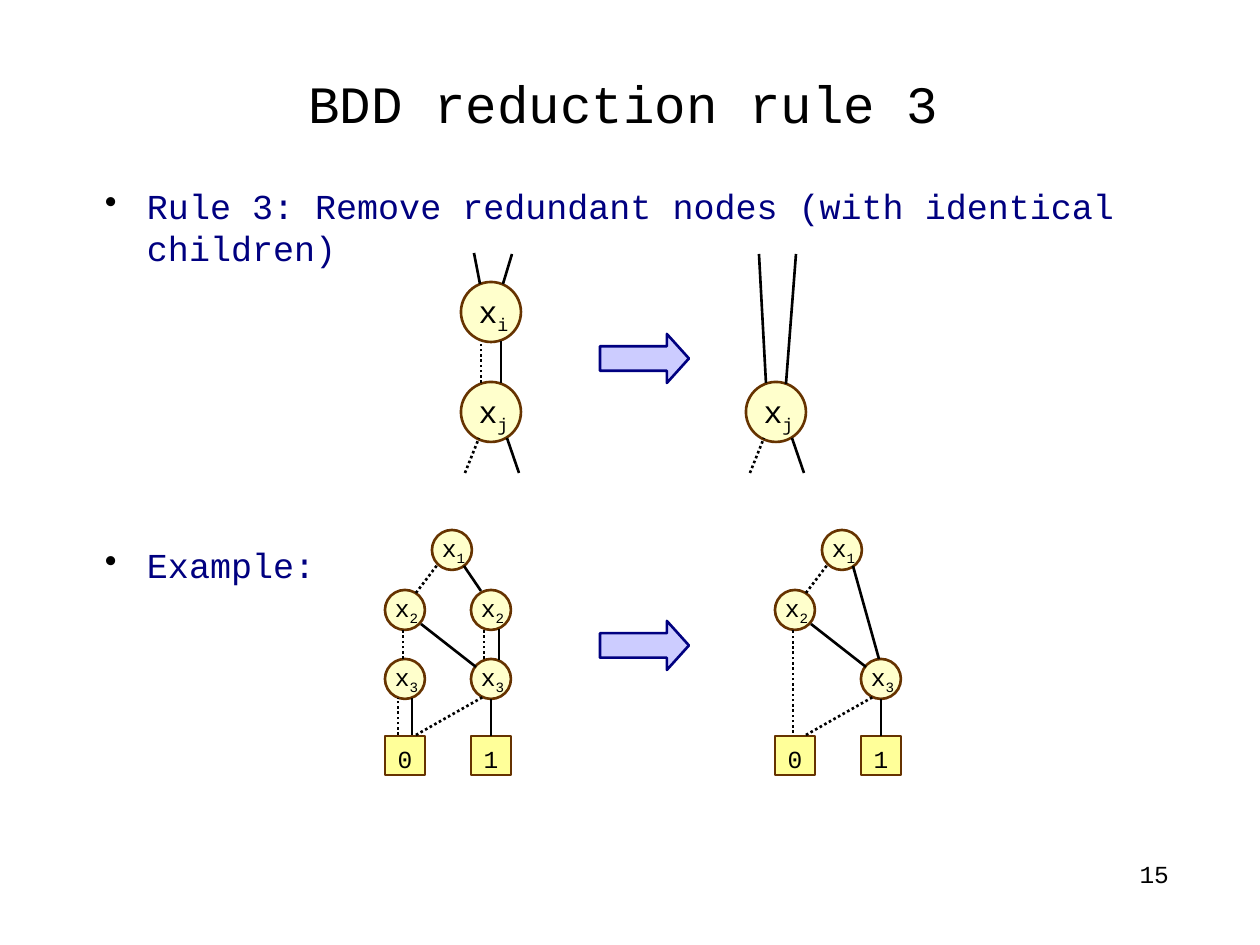
import pptx
import pptx.util
import pptx.dml.color
import pptx.enum.dml
import pptx.enum.shapes
import pptx.enum.text
import pptx.oxml.ns
from lxml import etree

PX = 914400 // 126
FONT = "Courier New"
BLACK, NAVY, BROWN = "000000", "000080", "663300"
CREAM, YELLOW, LAVENDER = "FFFFCC", "FFFF99", "CCCCFF"
SHAPE = pptx.enum.shapes.MSO_SHAPE
ALIGN = pptx.enum.text.PP_ALIGN
ANCHOR = pptx.enum.text.MSO_ANCHOR


def rgb(value):
    return pptx.dml.color.RGBColor.from_string(value)


def px(*lengths):
    return [length * PX for length in lengths]


def add_element(parent, tag, **attributes):
    return etree.SubElement(parent, pptx.oxml.ns.qn(tag), attributes)


class Board:
    """The current slide, the group being filled and the drawing style."""

    def __init__(self, slide):
        self.slide = slide
        self.target = slide.shapes

    def start_group(self):
        self.target = self.slide.shapes.add_group_shape().shapes

    def end_group(self):
        self.target = self.slide.shapes

    def text_frame(self, box, inset_x=0, inset_y=0, anchor=ANCHOR.TOP):
        frame = self.target.add_textbox(*px(*box)).text_frame
        frame.word_wrap = True
        frame.margin_left = frame.margin_right = inset_x * PX
        frame.margin_top = frame.margin_bottom = inset_y * PX
        frame.vertical_anchor = anchor
        return frame

    def run(self, paragraph, text, size, color=BLACK):
        run = paragraph.add_run()
        run.text = text
        run.font.name = FONT
        run.font.size = pptx.util.Pt(size)
        run.font.color.rgb = rgb(color)
        return run

    def line_of_text(self, box, text, size, align, spacing, anchor=ANCHOR.TOP):
        paragraph = self.text_frame(box, anchor=anchor).paragraphs[0]
        paragraph.alignment = align
        paragraph.line_spacing = spacing
        self.run(paragraph, text, size)

    def bullets(self, box, texts, gap):
        frame = self.text_frame(box)
        for number, text in enumerate(texts):
            paragraph = frame.add_paragraph() if number else frame.paragraphs[0]
            if number:
                paragraph.space_before = pptx.util.Pt(gap)
            properties = paragraph._p.get_or_add_pPr()
            properties.set("marL", str(55 * PX))
            properties.set("indent", str(-42 * PX))
            bullet_color = add_element(properties, "a:buClr")
            add_element(bullet_color, "a:srgbClr", val=BLACK)
            add_element(properties, "a:buChar", char="•")
            self.run(paragraph, text, 20, NAVY)

    def shape(self, kind, box, fill, line):
        shape = self.target.add_shape(kind, *px(*box))
        shape.shadow.inherit = False
        shape.fill.solid()
        shape.fill.fore_color.rgb = rgb(fill)
        shape.line.color.rgb = rgb(line)
        shape.line.width = pptx.util.Pt(1.5)
        return shape

    def arrow(self, box):
        arrow = self.shape(SHAPE.RIGHT_ARROW, box, LAVENDER, NAVY)
        arrow.adjustments[0], arrow.adjustments[1] = 0.5, 0.45

    def label(self, box, text, size, subscript=""):
        paragraph = self.text_frame(box, 12, 6).paragraphs[0]
        paragraph.alignment = ALIGN.CENTER
        self.run(paragraph, text, size)
        if subscript:
            lowered = self.run(paragraph, subscript, size)
            lowered._r.get_or_add_rPr().set("baseline", "-25000")

    def rule_node(self, x, y, subscript):
        self.shape(SHAPE.OVAL, (x, y, 60, 60), CREAM, BROWN)
        self.label((x + 3, y + 4, 59, 55), "x", 18, subscript)

    def example_node(self, x, y, subscript):
        self.shape(SHAPE.OVAL, (x, y, 40, 40), CREAM, BROWN)
        self.label((x - 13, y - 3, 69, 47), "x", 14, subscript)

    def terminal(self, x, y, value):
        self.shape(SHAPE.RECTANGLE, (x, y, 40, 39), YELLOW, BROWN)
        self.label((x, y + 2, 40, 43), value, 14)

    def edges(self, origin, ends, dotted=False):
        for x1, y1, x2, y2 in ends:
            edge = self.target.add_connector(
                pptx.enum.shapes.MSO_CONNECTOR.STRAIGHT,
                *px(origin + x1, y1, origin + x2, y2))
            edge.line.color.rgb = rgb(BLACK)
            edge.line.width = pptx.util.Pt(1.5)
            if dotted:
                edge.line.dash_style = pptx.enum.dml.MSO_LINE.ROUND_DOT
            add_element(edge._element.spPr, "a:effectLst")


def draw_rule(board, origin, nodes, solid, dotted):
    board.start_group()
    for y, subscript in nodes:
        board.rule_node(origin, y, subscript)
    board.edges(origin, [(58, 473, 46, 438)] + solid)
    board.edges(origin, [(4, 473, 18, 438)] + dotted, dotted=True)
    board.end_group()


def draw_example(board, origin, nodes, solid, dotted):
    board.start_group()
    shared_nodes = [(47, 530, "1"), (0, 590, "2"), (86, 659, "3")]
    for x, y, subscript in shared_nodes + nodes:
        board.example_node(origin + x, y, subscript)
    for x, value in ((0, "0"), (86, "1")):
        board.terminal(origin + x, 736, value)
    board.edges(origin, [(36, 624, 91, 667), (106, 699, 106, 736)] + solid)
    board.edges(origin, [(31, 593, 53, 564), (31, 735, 98, 697)] + dotted, dotted=True)
    board.end_group()


def main():
    deck = pptx.Presentation()
    deck.slide_width, deck.slide_height = px(1260, 945)
    board = Board(deck.slides.add_slide(deck.slide_layouts[6]))

    # Title and bullets
    board.line_of_text((86, 47, 1075, 108), "BDD reduction rule 3", 30,
                       ALIGN.CENTER, 1.04, ANCHOR.MIDDLE)
    board.bullets((92, 185, 1075, 655),
                  ["Rule 3: Remove redundant nodes (with identical children)",
                   "Example:"], gap=157)

    # Example before and after reduction
    draw_example(board, 385,
                 nodes=[(0, 659, "3"), (86, 590, "2")],
                 solid=[(79, 566, 96, 591), (114, 629, 114, 660), (27, 698, 27, 735)],
                 dotted=[(18, 659, 18, 629), (13, 735, 13, 698), (99, 659, 99, 629)])
    draw_example(board, 775, nodes=[],
                 solid=[(78, 566, 104, 659)],
                 dotted=[(18, 733, 18, 629)])

    # Rule before and after reduction
    draw_rule(board, 461,
              nodes=[(282, "i"), (382, "j")],
              solid=[(19, 284, 13, 253), (40, 383, 40, 341), (42, 284, 51, 254)],
              dotted=[(20, 383, 20, 341)])
    draw_rule(board, 746,
              nodes=[(382, "j")],
              solid=[(20, 383, 13, 254), (40, 384, 50, 254)],
              dotted=[])

    # Reduction arrows
    for y in (621, 334):
        board.arrow((600, y, 89, 49))

    # Page number
    board.line_of_text((966, 861, 203, 65), "15", 14, ALIGN.RIGHT, 0.96)

    deck.save("out.pptx")


if __name__ == "__main__":
    main()
